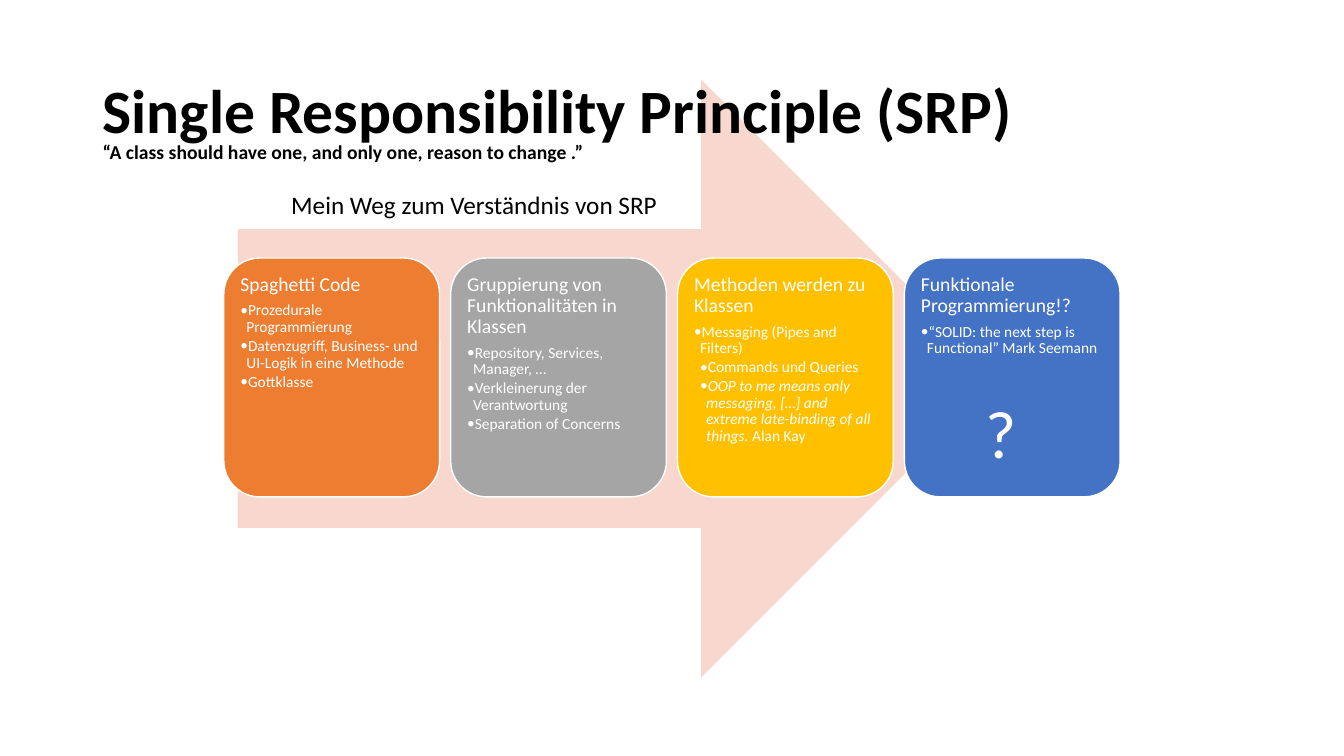
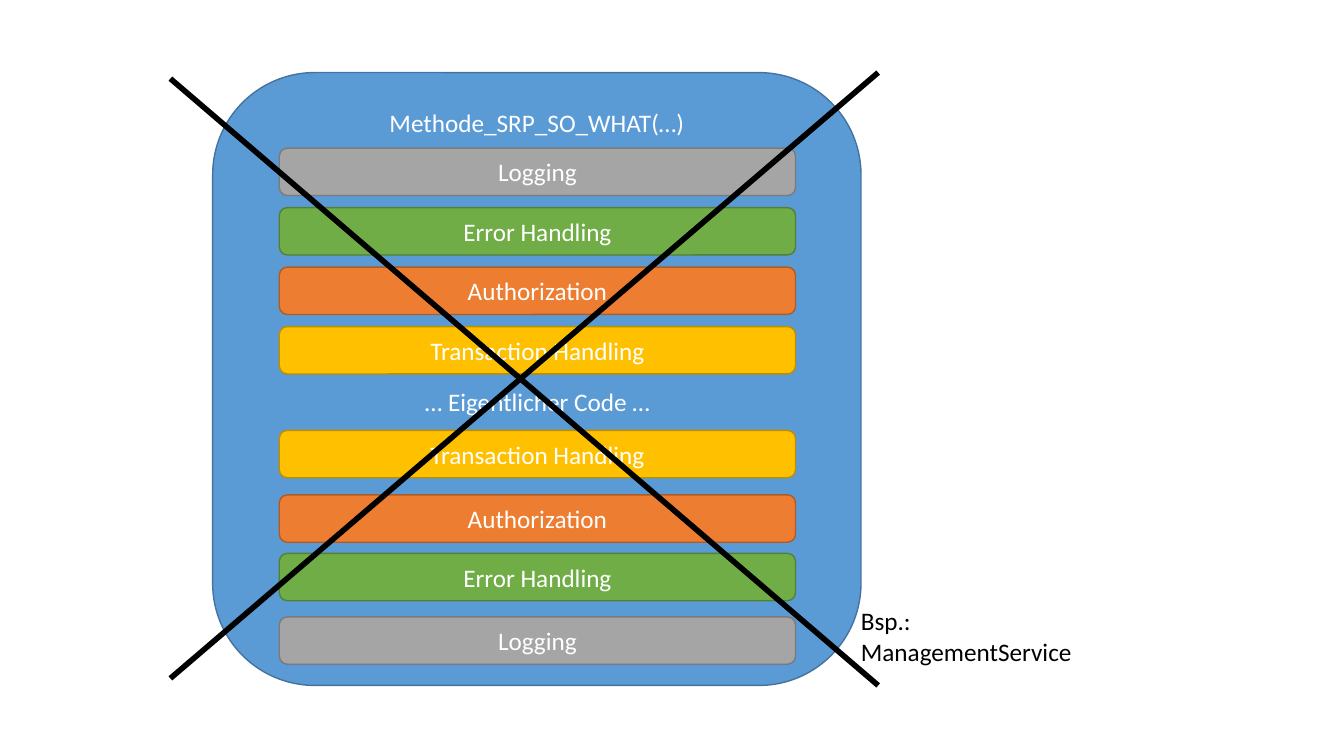
from lxml import etree
from pptx import Presentation
from pptx.dml.color import RGBColor
from pptx.enum.shapes import MSO_CONNECTOR, MSO_SHAPE
from pptx.enum.text import MSO_ANCHOR, PP_ALIGN
from pptx.oxml.ns import qn
from pptx.util import Inches, Pt

FONT = "Calibri"
COLORS = {
    "white": "FFFFFF", "black": "000000", "arrow": "F8D7CE",
    "orange": "ED7D31", "orange_line": "AF5C24",
    "gray": "A5A5A5", "gray_line": "7A7A7A",
    "yellow": "FFC000", "yellow_line": "BD8E00",
    "green": "70AD47", "green_line": "538035",
    "blue": "4472C4",
    "light_blue": "5B9BD5", "light_blue_line": "43739E",
}


def add_shape(slide, preset, box, fill, line=None):
    shape = slide.shapes.add_shape(preset, *[Inches(value) for value in box])
    shape.shadow.inherit = False
    shape.fill.solid()
    shape.fill.fore_color.rgb = RGBColor.from_string(COLORS[fill])
    if line:
        shape.line.color.rgb = RGBColor.from_string(COLORS[line])
        shape.line.width = Pt(1)
    else:
        shape.line.fill.background()
    return shape


def write_text(shape, text, size=18, color="white", bold=False, align=PP_ALIGN.LEFT,
               anchor=MSO_ANCHOR.TOP, wrap=True):
    frame = shape.text_frame
    frame.word_wrap = wrap
    frame.vertical_anchor = anchor
    paragraph = frame.paragraphs[0]
    paragraph.text = text
    paragraph.alignment = align
    paragraph.font.name = FONT
    paragraph.font.size = Pt(size)
    paragraph.font.bold = bold
    paragraph.font.color.rgb = RGBColor.from_string(COLORS[color])
    return paragraph


presentation = Presentation()
presentation.slide_width = Inches(13.33)
presentation.slide_height = Inches(7.5)
blank_layout = presentation.slide_layouts[6]

# Slide 1: the way to understanding SRP
slide = presentation.slides.add_slide(blank_layout)
add_shape(slide, MSO_SHAPE.RIGHT_ARROW, (2.36, 0.79, 7.56, 5.93), "arrow")

# Each bullet: level, italic part, upright part
cards = [
    ("orange", "Spaghetti Code", [
        (1, "", "Prozedurale Programmierung"),
        (1, "", "Datenzugriff, Business- und UI-Logik in eine Methode"),
        (1, "", "Gottklasse")]),
    ("gray", "Gruppierung von Funktionalitäten in Klassen", [
        (1, "", "Repository, Services, Manager, …"),
        (1, "", "Verkleinerung der Verantwortung"),
        (1, "", "Separation of Concerns")]),
    ("yellow", "Methoden werden zu Klassen", [
        (1, "", "Messaging (Pipes and Filters)"),
        (2, "", "Commands und Queries"),
        (2, "OOP to me means only messaging, […] and extreme late-binding of all things. ",
         "Alan Kay")]),
    ("blue", "Funktionale Programmierung!?", [
        (1, "", "“SOLID: the next step is Functional” Mark Seemann")]),
]
for index, (fill, heading, bullets) in enumerate(cards):
    card = add_shape(slide, MSO_SHAPE.ROUNDED_RECTANGLE,
                     (2.22 + 2.25 * index, 2.56, 2.14, 2.37), fill, "white")
    frame = card.text_frame
    frame.margin_left = frame.margin_right = Inches(0.06)
    frame.margin_top = frame.margin_bottom = Inches(0.06)
    paragraph = write_text(card, heading, 14)
    paragraph.line_spacing = 0.9
    paragraph.space_after = Pt(4.9)
    for level, italic_text, upright_text in bullets:
        paragraph = frame.add_paragraph()
        paragraph.level = level
        paragraph.alignment = PP_ALIGN.LEFT
        paragraph.line_spacing = 0.9
        paragraph.space_after = Pt(1.65)
        paragraph.font.name = FONT
        paragraph.font.size = Pt(11)
        paragraph.font.color.rgb = RGBColor.from_string(COLORS["white"])
        if italic_text:
            run = paragraph.add_run()
            run.text = italic_text
            run.font.italic = True
        paragraph.add_run().text = upright_text
        properties = paragraph._p.get_or_add_pPr()
        properties.set("marL", str(Inches(0.06 * level)))
        properties.set("indent", str(Inches(-0.06)))
        run_defaults = properties.find(qn("a:defRPr"))
        run_defaults.addprevious(etree.Element(qn("a:buFont"), typeface=FONT))
        run_defaults.addprevious(etree.Element(qn("a:buChar"), char="•"))

# Title, question mark, caption and quote
title = slide.shapes.add_textbox(Inches(0.92), Inches(0.4), Inches(11.5), Inches(1.45))
paragraph = write_text(title, "Single Responsibility Principle (SRP)", 44, "black", bold=True,
                       anchor=MSO_ANCHOR.MIDDLE)
paragraph.line_spacing = 0.9
question = slide.shapes.add_textbox(Inches(9.68), Inches(3.83), Inches(1.24), Inches(0.91))
write_text(question, "?", 48)
caption = slide.shapes.add_textbox(Inches(2.79), Inches(1.83), Inches(3.87), Inches(0.4))
write_text(caption, "Mein Weg zum Verständnis von SRP", color="black", wrap=False)
quote = slide.shapes.add_textbox(Inches(0.92), Inches(1.34), Inches(5), Inches(0.34))
write_text(quote, "“A class should have one, and only one, reason to change .”", 14, "black",
           bold=True, wrap=False)

# Slide 2: a method with too many responsibilities
slide = presentation.slides.add_slide(blank_layout)
method = add_shape(slide, MSO_SHAPE.ROUNDED_RECTANGLE, (2.11, 0.72, 6.43, 6.08),
                   "light_blue", "light_blue_line")
write_text(method, "Methode_SRP_SO_WHAT(…)", align=PP_ALIGN.CENTER)

# Each concern opens above the code and closes below it
concerns = [
    ("Logging", "gray", 1.47, 6.12),
    ("Error Handling", "green", 2.06, 5.49),
    ("Authorization", "orange", 2.65, 4.91),
    ("Transaction Handling", "yellow", 3.24, 4.27),
]
for name, color, *tops in concerns:
    for top in tops:
        bar = add_shape(slide, MSO_SHAPE.ROUNDED_RECTANGLE, (2.77, top, 5.12, 0.47),
                        color, color + "_line")
        write_text(bar, name, align=PP_ALIGN.CENTER, anchor=MSO_ANCHOR.MIDDLE)
code = slide.shapes.add_textbox(Inches(2.77), Inches(3.78), Inches(5.12), Inches(0.4))
write_text(code, "… Eigentlicher Code …", align=PP_ALIGN.CENTER)

# Cross over the method
for start, end in [(6.73, 0.72), (0.78, 6.8)]:
    stroke = slide.shapes.add_connector(MSO_CONNECTOR.STRAIGHT, Inches(1.69), Inches(start),
                                        Inches(8.71), Inches(end))
    stroke.line.color.rgb = RGBColor.from_string(COLORS["black"])
    stroke.line.width = Pt(4)
    etree.SubElement(stroke._element.spPr, qn("a:effectLst"))

# Example
example = slide.shapes.add_textbox(Inches(8.44), Inches(5.96), Inches(2.4), Inches(0.71))
write_text(example, "Bsp.: ManagementService", color="black")

presentation.save("out.pptx")
